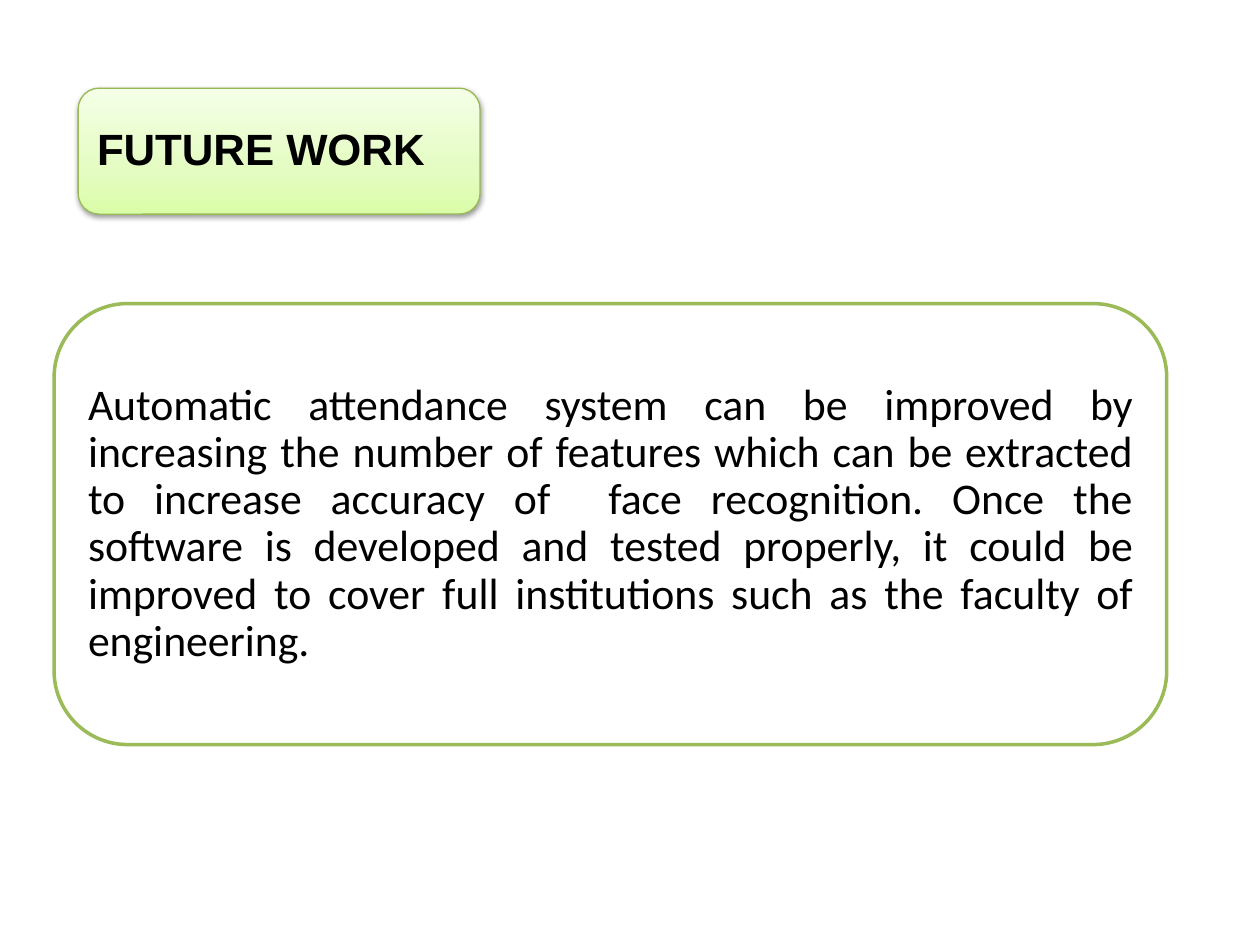
import copy

import pptx
import pptx.dml.color
import pptx.enum.shapes
import pptx.enum.text
import pptx.oxml
import pptx.oxml.ns
import pptx.util

WIDTH, HEIGHT = 10, 7.5
TITLE_CARD = (0.62, 0.7, 3.19, 1)
BODY_CARD = (0.43, 2.41, 8.83, 3.5)
TITLE_PADDING, BODY_PADDING = 0.05, 0.17
TITLE_STOPS = [(0, "DAFDA7"), (0.35, "E4FCC2"), (1, "F5FFE7")]
BODY_TEXT = (
    "Automatic attendance system can be improved by increasing the number of "
    "features which can be extracted to increase accuracy of  face recognition. "
    "Once the software is developed and tested properly, it could be improved "
    "to cover full institutions such as the faculty of engineering."
)
SHADOW = (
    '<a:outerShdw xmlns:a="http://schemas.openxmlformats.org/drawingml/2006/main"'
    ' blurRad="39370" dist="20320" dir="5400000" rotWithShape="0">'
    '<a:srgbClr val="000000"><a:alpha val="38000"/></a:srgbClr></a:outerShdw>'
)


def color(value):
    return pptx.dml.color.RGBColor.from_string(value)


def place(shape, box):
    shape.left, shape.top, shape.width, shape.height = map(pptx.util.Inches, box)


def inner_box(box, padding):
    left, top, width, height = box
    return left + padding, top + padding, width - 2 * padding, height - 2 * padding


def add_card(slide, box, line_color, line_width):
    """Add a white rounded rectangle with a coloured outline."""
    card = slide.shapes.add_shape(
        pptx.enum.shapes.MSO_SHAPE.ROUNDED_RECTANGLE, *map(pptx.util.Inches, box)
    )
    card.shadow.inherit = False
    card.fill.solid()
    card.fill.fore_color.rgb = color("FFFFFF")
    card.line.color.rgb = color(line_color)
    card.line.width = pptx.util.Pt(line_width)
    return card


def set_upward_gradient(shape, stops):
    shape.fill.gradient()
    shape.fill.gradient_angle = 90
    stop_list = shape.fill._fill._gradFill.find(pptx.oxml.ns.qn("a:gsLst"))
    while len(stop_list) < len(stops):
        stop_list.append(copy.deepcopy(stop_list[-1]))
    for stop, (position, value) in zip(shape.fill.gradient_stops, stops):
        stop.position = position
        stop.color.rgb = color(value)


def add_shadow(shape):
    effects = shape.element.spPr.find(pptx.oxml.ns.qn("a:effectLst"))
    effects.append(pptx.oxml.parse_xml(SHADOW))


def set_text(shape, text, font_name, alignment, bold=False):
    frame = shape.text_frame
    frame.text = text
    frame.word_wrap = True
    frame.auto_size = pptx.enum.text.MSO_AUTO_SIZE.NONE
    frame.vertical_anchor = pptx.enum.text.MSO_ANCHOR.MIDDLE
    frame.margin_left = frame.margin_right = pptx.util.Inches(0.1)
    frame.margin_top = frame.margin_bottom = pptx.util.Inches(0.1)
    paragraph = frame.paragraphs[0]
    paragraph.alignment = alignment
    paragraph.line_spacing = 0.9
    font = paragraph.runs[0].font
    font.name = font_name
    font.size = pptx.util.Pt(25)
    font.bold = bold
    font.color.rgb = color("000000")


def add_body(slide):
    add_card(slide, BODY_CARD, "9BBB59", 2)
    box = inner_box(BODY_CARD, BODY_PADDING)
    body = slide.shapes.add_textbox(*map(pptx.util.Inches, box))
    set_text(body, BODY_TEXT, "Calibri", pptx.enum.text.PP_ALIGN.JUSTIFY)


def add_title(slide):
    card = add_card(slide, TITLE_CARD, "98B955", 0.75)
    set_upward_gradient(card, TITLE_STOPS)
    add_shadow(card)
    title = slide.shapes.title
    place(title, inner_box(TITLE_CARD, TITLE_PADDING))
    set_text(title, "FUTURE WORK", "Arial", pptx.enum.text.PP_ALIGN.LEFT, bold=True)
    card.element.addnext(title.element)  # bring the title in front of its card


def main():
    presentation = pptx.Presentation()
    presentation.slide_width = pptx.util.Inches(WIDTH)
    presentation.slide_height = pptx.util.Inches(HEIGHT)
    slide = presentation.slides.add_slide(presentation.slide_layouts[5])
    add_body(slide)
    add_title(slide)
    presentation.save("out.pptx")


if __name__ == "__main__":
    main()
